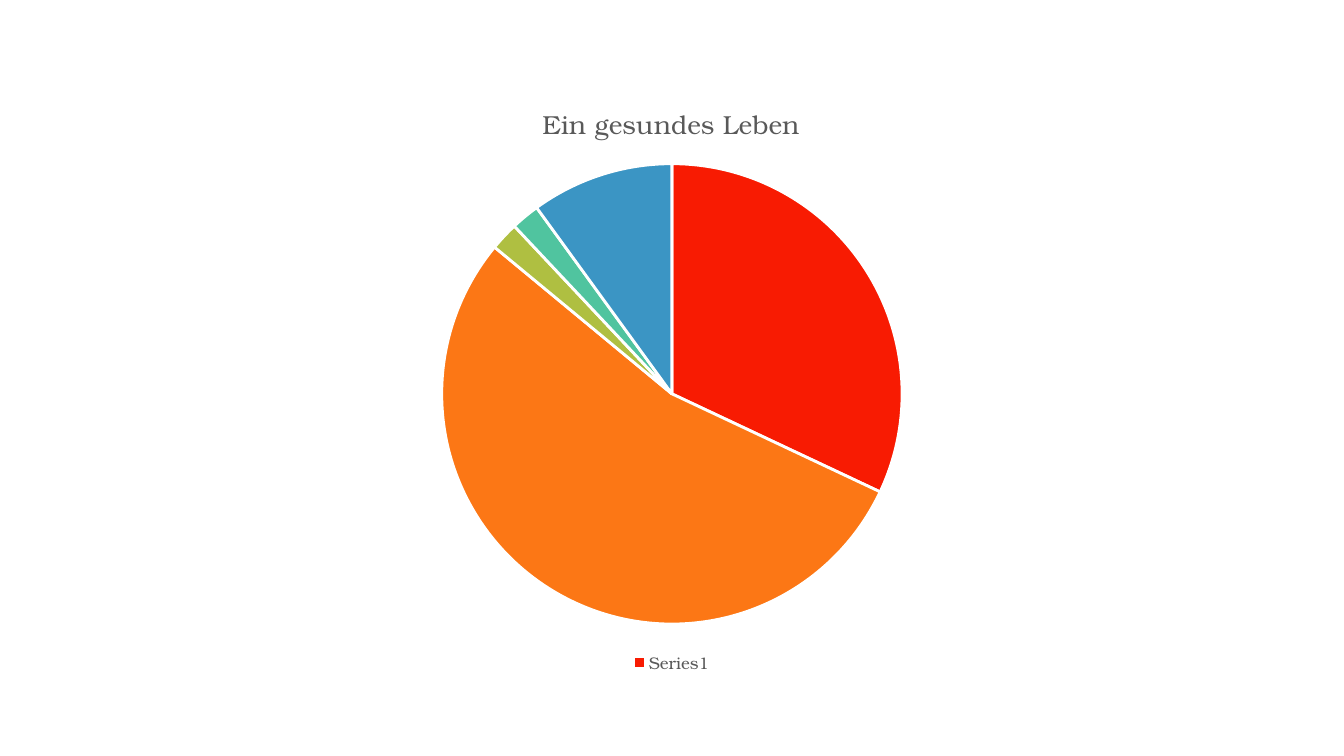
from lxml import etree
from pptx import Presentation
from pptx.chart.data import CategoryChartData
from pptx.dml.color import RGBColor
from pptx.enum.chart import XL_CHART_TYPE, XL_LEGEND_POSITION
from pptx.oxml.ns import qn
from pptx.util import Emu, Pt

PIE = XL_CHART_TYPE.PIE
BOTTOM = XL_LEGEND_POSITION.BOTTOM
BLANK = 6
SCALE = 914400 / 100.8
WIDTH, HEIGHT = 1344, 756
FACE = "TeX Gyre Bonum"
GREY = "595959"
WHITE = "FFFFFF"
SLICES = [
    (32, "F81B02"),
    (54, "FC7715"),
    (2, "AFBF41"),
    (2, "50C49F"),
    (10, "3B95C4"),
]


def px(count):
    return Emu(round(count * SCALE))


def color(code):
    return RGBColor.from_string(code)


class Canvas:
    def __init__(self, slide, face):
        self.slide = slide
        self.face = face

    def style(self, font, size, code):
        font.name = self.face
        font.size = Pt(size)
        font.bold = False
        font.color.rgb = color(code)

    def place(self, parent, before, **sides):
        for old in parent.findall(qn("c:layout")):
            parent.remove(old)
        layout = etree.Element(qn("c:layout"))
        manual = etree.SubElement(layout, qn("c:manualLayout"))
        for tag, value in sides.items():
            etree.SubElement(manual, qn(f"c:{tag}"), val=str(value))
        parent.find(qn(before)).addprevious(layout)

    def paint(self, part, code):
        part.format.fill.solid()
        part.format.fill.fore_color.rgb = color(code)
        part.format.line.color.rgb = color(WHITE)
        part.format.line.width = Pt(2)

    def title(self, chart, text):
        chart.has_title = True
        title = chart.chart_title
        title.include_in_layout = False
        run = title.text_frame.paragraphs[0].add_run()
        run.text = text
        self.style(run.font, 18.6, GREY)
        self.place(chart.element.find(".//" + qn("c:title")), "c:overlay",
                   xMode="edge", yMode="edge", x=0.35, y=0.03)

    def legend(self, chart):
        chart.has_legend = True
        chart.legend.position = BOTTOM
        chart.legend.include_in_layout = False
        self.style(chart.legend.font, 12, GREY)

    def pie(self, box, title, name, slices):
        data = CategoryChartData()
        data.categories = [""] * len(slices)
        data.add_series(name, [value for value, _ in slices])
        frame = self.slide.shapes.add_chart(PIE, *map(px, box), data)
        chart = frame.chart
        self.style(chart.font, 10, "000000")
        self.title(chart, title)
        self.legend(chart)
        plot = chart.plots[0]
        plot.vary_by_categories = False
        series = plot.series[0]
        self.paint(series, slices[0][1])
        for index, (_, code) in enumerate(slices):
            self.paint(series.points[index], code)
        area = chart.element.find(".//" + qn("c:plotArea"))
        self.place(area, "c:pieChart", layoutTarget="inner",
                   xMode="edge", yMode="edge", x=0.24, y=0.14, w=0.52, h=0.77)


def main():
    deck = Presentation()
    deck.slide_width, deck.slide_height = px(WIDTH), px(HEIGHT)
    slide = deck.slides.add_slide(deck.slide_layouts[BLANK])
    canvas = Canvas(slide, FACE)
    canvas.pie((224, 80, 896, 598), "Ein gesundes Leben", "Series1", SLICES)
    deck.save("out.pptx")


if __name__ == "__main__":
    main()
